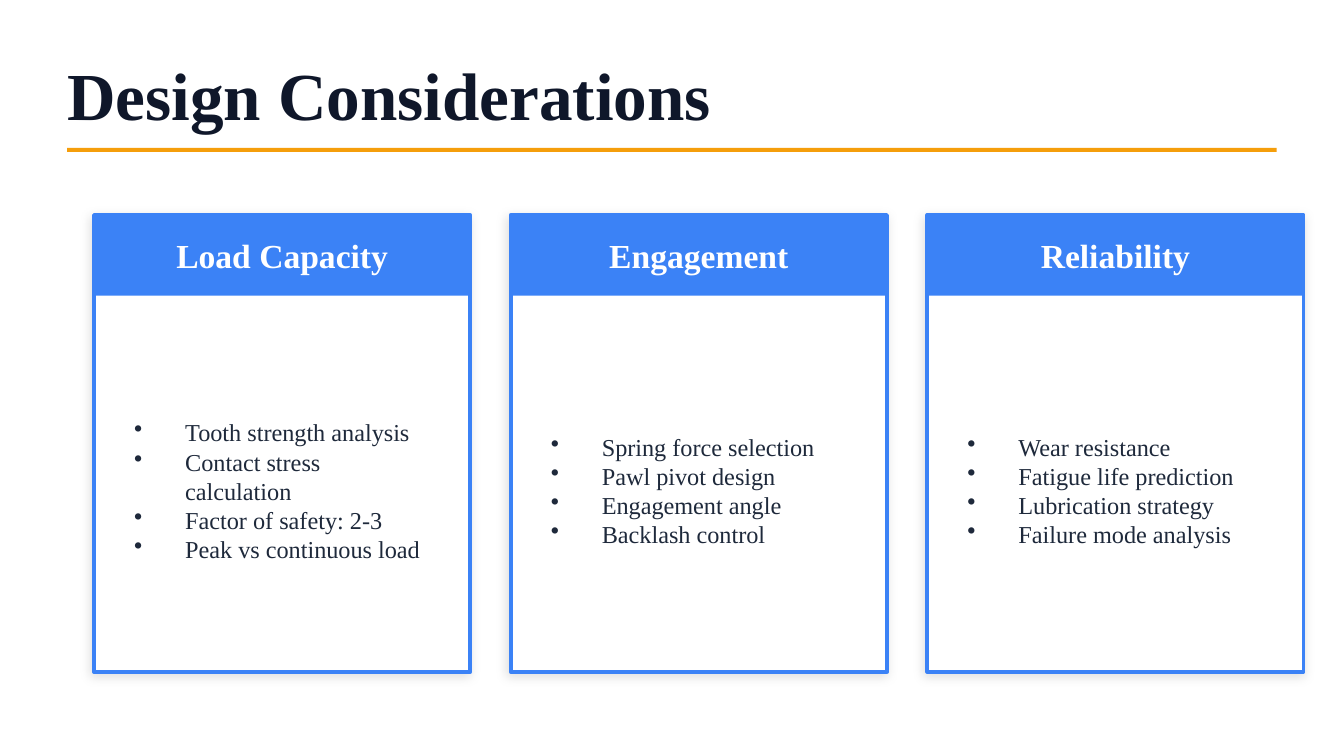
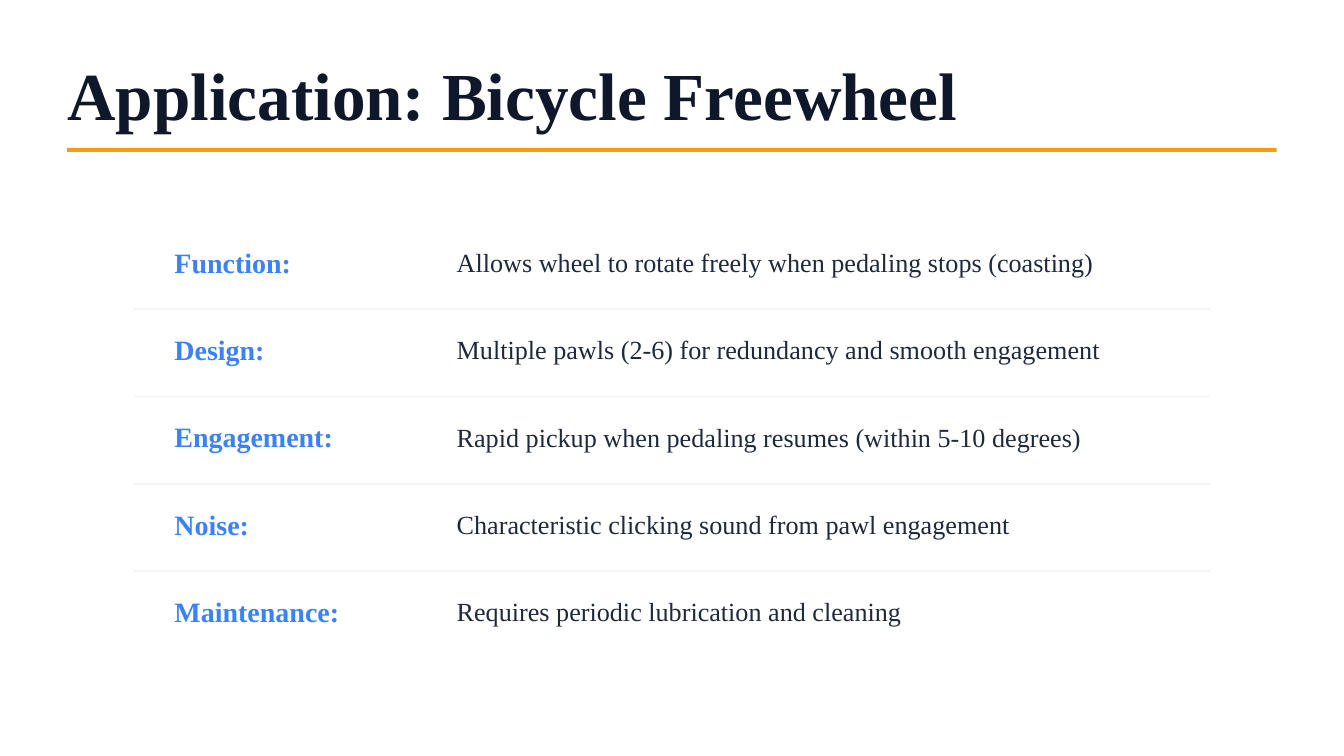
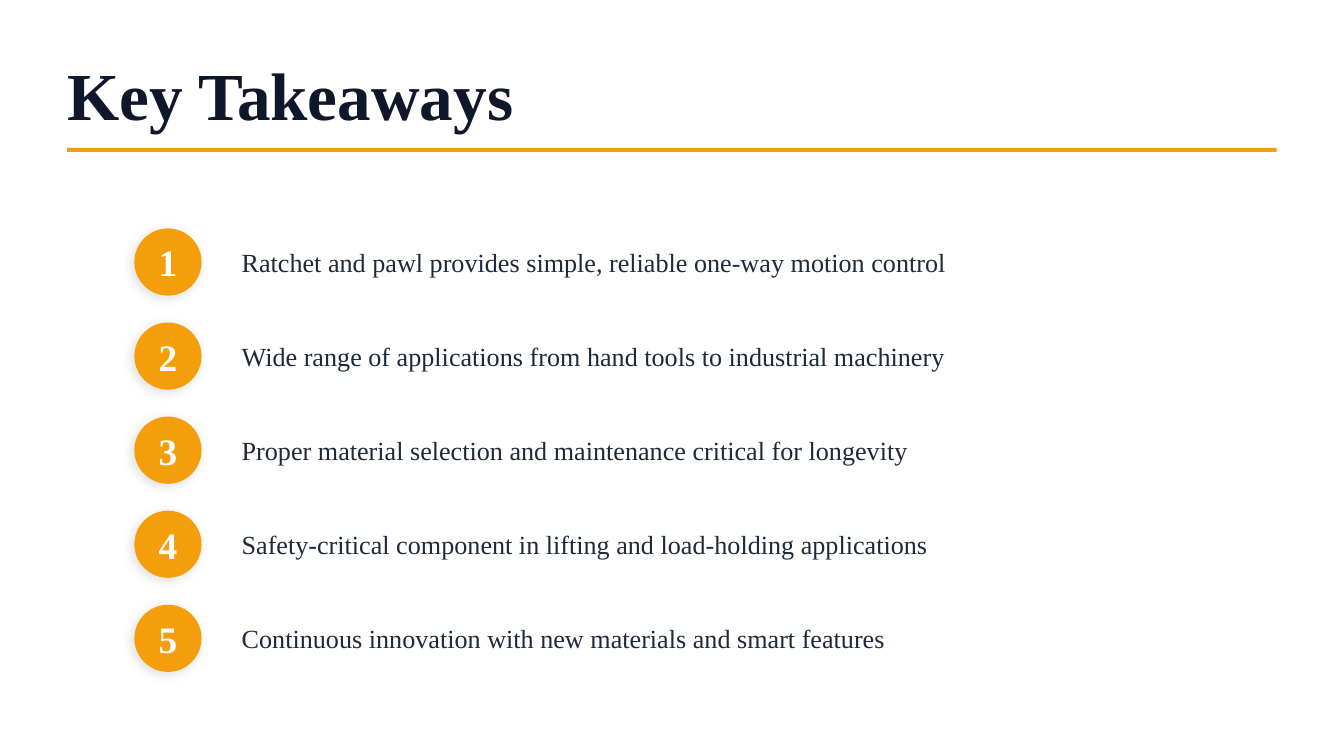
from dataclasses import dataclass

from lxml.etree import SubElement
from pptx import Presentation
from pptx.dml.color import RGBColor
from pptx.enum.shapes import MSO_CONNECTOR, MSO_SHAPE
from pptx.enum.text import MSO_ANCHOR, MSO_AUTO_SIZE, PP_ALIGN
from pptx.oxml.ns import qn
from pptx.util import Inches, Pt


@dataclass(frozen=True)
class Theme:
    font: str = "Times New Roman"
    title_color: str = "0F172A"
    text_color: str = "1E293B"
    blue: str = "3B82F6"
    amber: str = "F59E0B"
    white: str = "FFFFFF"
    divider: str = "F1F5F9"
    shadow: str = "000000"
    title_size: int = 36
    number_size: int = 20
    heading_size: int = 18
    label_size: int = 15
    body_size: int = 14
    bullet_size: int = 13


THEME = Theme()
TITLE_ONLY_LAYOUT = 5
SLIDE_WIDTH = 10
SLIDE_HEIGHT = SLIDE_WIDTH * 9 / 16

CONSIDERATIONS = [
    ("Load Capacity", [
        "Tooth strength analysis",
        "Contact stress calculation",
        "Factor of safety: 2-3",
        "Peak vs continuous load",
    ]),
    ("Engagement", [
        "Spring force selection",
        "Pawl pivot design",
        "Engagement angle",
        "Backlash control",
    ]),
    ("Reliability", [
        "Wear resistance",
        "Fatigue life prediction",
        "Lubrication strategy",
        "Failure mode analysis",
    ]),
]

FREEWHEEL_FACTS = [
    ("Function:", "Allows wheel to rotate freely when pedaling stops (coasting)"),
    ("Design:", "Multiple pawls (2-6) for redundancy and smooth engagement"),
    ("Engagement:", "Rapid pickup when pedaling resumes (within 5-10 degrees)"),
    ("Noise:", "Characteristic clicking sound from pawl engagement"),
    ("Maintenance:", "Requires periodic lubrication and cleaning"),
]

TAKEAWAYS = [
    "Ratchet and pawl provides simple, reliable one-way motion control",
    "Wide range of applications from hand tools to industrial machinery",
    "Proper material selection and maintenance critical for longevity",
    "Safety-critical component in lifting and load-holding applications",
    "Continuous innovation with new materials and smart features",
]


def rgb(color):
    return RGBColor.from_string(color)


def inches(*lengths):
    return [Inches(length) for length in lengths]


def add_bullet(paragraph, indent=0.38):
    properties = paragraph._p.get_or_add_pPr()
    properties.set("marL", str(Inches(indent)))
    properties.set("indent", str(-Inches(indent)))
    SubElement(properties, qn("a:buSzPct"), val="100000")
    SubElement(properties, qn("a:buChar"), char="•")


def write_text(shape, lines, size=THEME.body_size, color=THEME.text_color,
               bold=False, align=PP_ALIGN.LEFT, bulleted=False, inset=None):
    """Fill a shape with one paragraph per line, centred vertically."""
    frame = shape.text_frame
    frame.word_wrap = True
    frame.auto_size = MSO_AUTO_SIZE.NONE
    frame.vertical_anchor = MSO_ANCHOR.MIDDLE
    if inset is not None:
        frame.margin_left = frame.margin_right = Inches(inset)
        frame.margin_top = frame.margin_bottom = Inches(inset)
    frame.text = "\n".join(lines)
    for paragraph in frame.paragraphs:
        paragraph.alignment = align
        if bulleted:
            add_bullet(paragraph)
        font = paragraph.runs[0].font
        font.name = THEME.font
        font.size = Pt(size)
        font.bold = bold
        font.color.rgb = rgb(color)


def add_text(slide, box, lines, **text_format):
    shape = slide.shapes.add_textbox(*inches(*box))
    write_text(shape, lines, **text_format)


def add_soft_shadow(shape):
    effects = shape._element.spPr.find(qn("a:effectLst"))
    shadow = SubElement(effects, qn("a:outerShdw"), blurRad=str(Pt(6)),
                        dist=str(Pt(2)), dir=str(135 * 60000),
                        algn="bl", rotWithShape="0")
    color = SubElement(shadow, qn("a:srgbClr"), val=THEME.shadow)
    SubElement(color, qn("a:alpha"), val="12000")


def add_filled_shape(slide, kind, box, fill, outline=None, shadow=False):
    shape = slide.shapes.add_shape(kind, *inches(*box))
    shape.shadow.inherit = False
    shape.fill.solid()
    shape.fill.fore_color.rgb = rgb(fill)
    if outline:
        shape.line.color.rgb = rgb(outline)
        shape.line.width = Pt(2)
    else:
        shape.line.fill.background()
    if shadow:
        add_soft_shadow(shape)


def add_divider(slide, left, right, top):
    line = slide.shapes.add_connector(MSO_CONNECTOR.STRAIGHT,
                                      *inches(left, top, right, top))
    line.line.color.rgb = rgb(THEME.divider)
    line.line.width = Pt(1)
    SubElement(line._element.spPr, qn("a:effectLst"))


def add_titled_slide(presentation, title):
    slide = presentation.slides.add_slide(
        presentation.slide_layouts[TITLE_ONLY_LAYOUT])
    slide.background.fill.solid()
    slide.background.fill.fore_color.rgb = rgb(THEME.white)
    heading = slide.shapes.title
    heading.left, heading.top, heading.width, heading.height = inches(
        0.5, 0.4, 9, 0.6)
    write_text(heading, [title], size=THEME.title_size,
               color=THEME.title_color, bold=True, inset=0)
    add_filled_shape(slide, MSO_SHAPE.RECTANGLE, (0.5, 1.1, 9, 0.03),
                     THEME.amber)
    return slide


def add_card(slide, left, heading, bullets, top=1.6, width=2.8):
    add_filled_shape(slide, MSO_SHAPE.RECTANGLE, (left, top, width, 3.4),
                     THEME.white, outline=THEME.blue, shadow=True)
    add_filled_shape(slide, MSO_SHAPE.RECTANGLE, (left, top, width, 0.6),
                     THEME.blue)
    add_text(slide, (left, top + 0.15, width, 0.3), [heading],
             size=THEME.heading_size, color=THEME.white, bold=True,
             align=PP_ALIGN.CENTER)
    add_text(slide, (left + 0.2, top + 0.9, width - 0.4, 2.3), bullets,
             size=THEME.bullet_size, bulleted=True)


def add_fact(slide, top, label, description):
    add_text(slide, (1.2, top, 2, 0.5), [label], size=THEME.label_size,
             color=THEME.blue, bold=True)
    add_text(slide, (3.3, top, 6, 0.5), [description])


def add_numbered_point(slide, top, number, text):
    badge_box = (1, top, 0.5, 0.5)
    add_filled_shape(slide, MSO_SHAPE.OVAL, badge_box, THEME.amber,
                     shadow=True)
    add_text(slide, badge_box, [str(number)], size=THEME.number_size,
             color=THEME.white, bold=True, align=PP_ALIGN.CENTER)
    add_text(slide, (1.7, top, 7.5, 0.5), [text])


def build_considerations(presentation):
    slide = add_titled_slide(presentation, "Design Considerations")
    for column, (heading, bullets) in enumerate(CONSIDERATIONS):
        add_card(slide, 0.7 + 3.1 * column, heading, bullets)


def build_freewheel(presentation):
    slide = add_titled_slide(presentation, "Application: Bicycle Freewheel")
    for row, (label, description) in enumerate(FREEWHEEL_FACTS):
        top = 1.7 + 0.65 * row
        if row > 0:
            add_divider(slide, 1, 9, top - 0.05)
        add_fact(slide, top, label, description)


def build_takeaways(presentation):
    slide = add_titled_slide(presentation, "Key Takeaways")
    for row, text in enumerate(TAKEAWAYS):
        add_numbered_point(slide, 1.7 + 0.7 * row, row + 1, text)


def main():
    presentation = Presentation()
    presentation.slide_width, presentation.slide_height = inches(
        SLIDE_WIDTH, SLIDE_HEIGHT)
    build_considerations(presentation)
    build_freewheel(presentation)
    build_takeaways(presentation)
    presentation.save("out.pptx")


if __name__ == "__main__":
    main()
